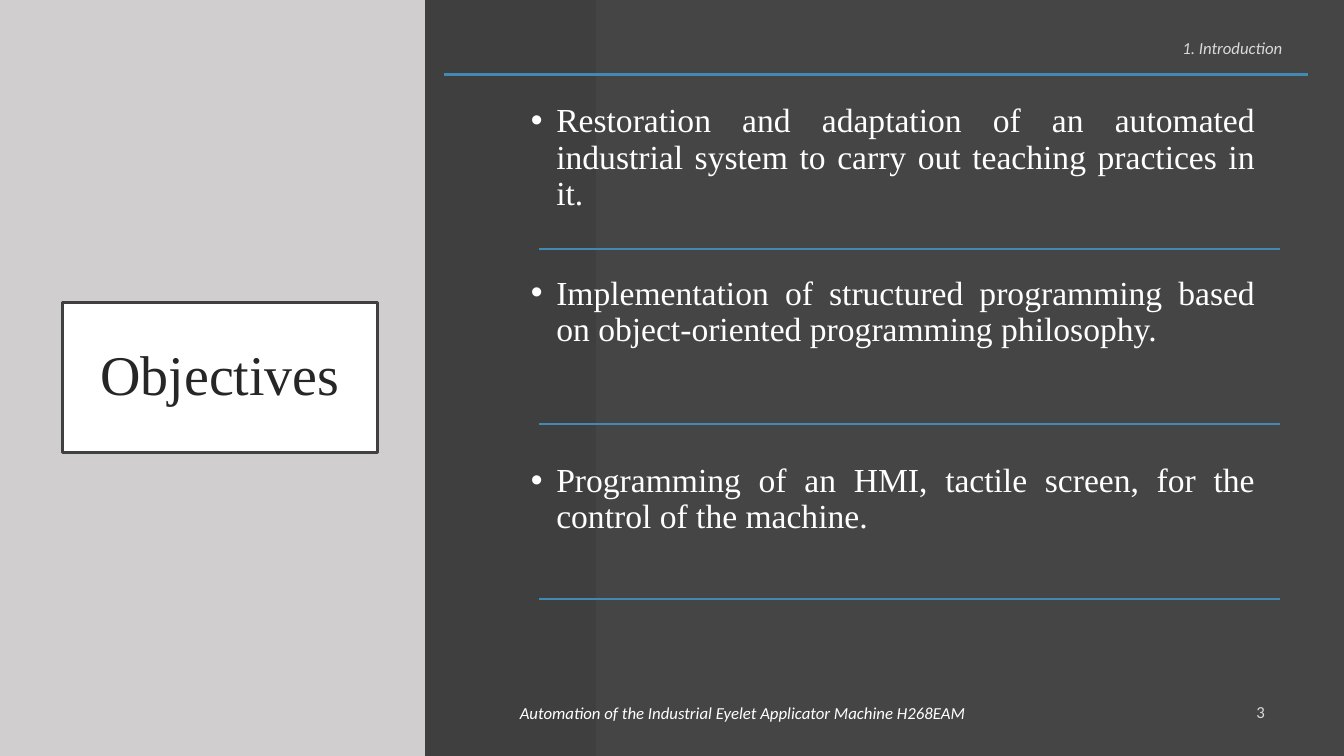
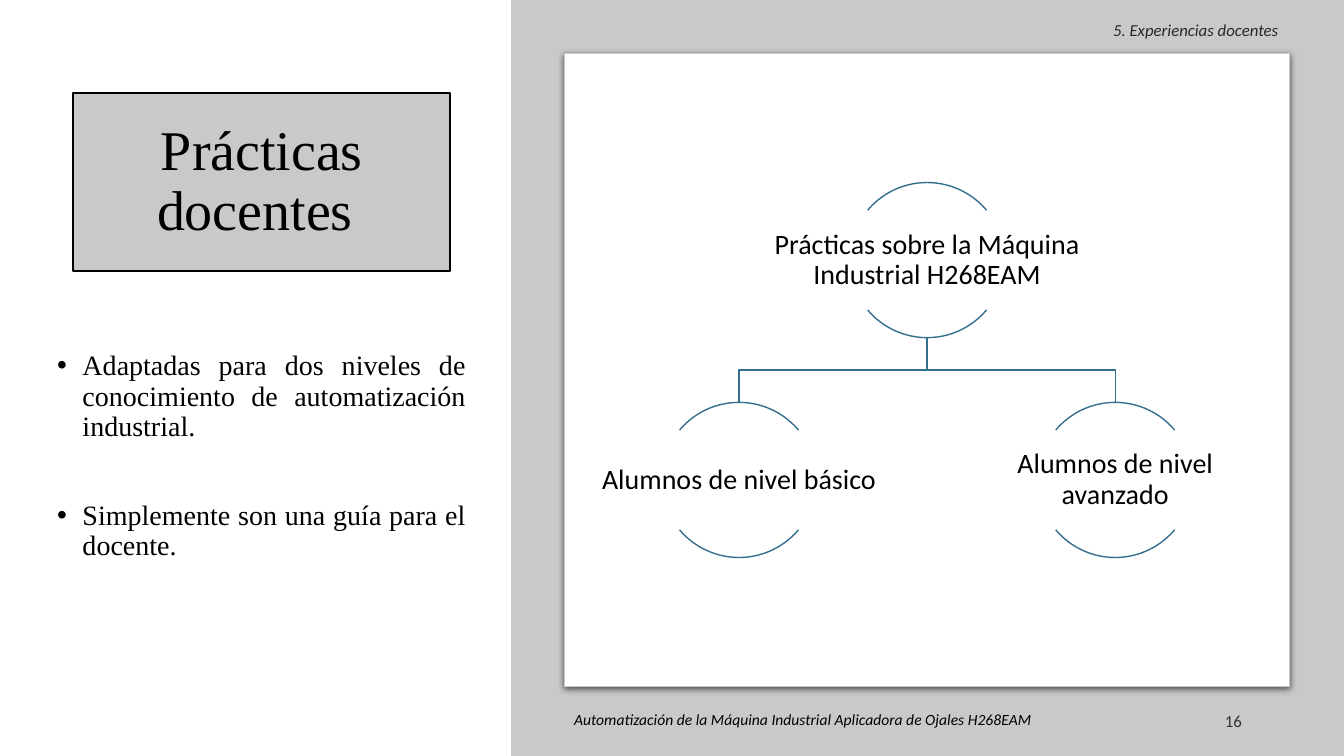
from collections import namedtuple
from dataclasses import dataclass

from lxml import etree
from pptx import Presentation
from pptx.dml.color import RGBColor
from pptx.enum import shapes, text
from pptx.oxml import ns
from pptx.util import Cm, Pt

Box = namedtuple("Box", "x y w h")
LEFT, MID, RIGHT, JUST = (text.PP_ALIGN.LEFT, text.PP_ALIGN.CENTER,
                          text.PP_ALIGN.RIGHT, text.PP_ALIGN.JUSTIFY)
RECT, ARC = shapes.MSO_SHAPE.RECTANGLE, shapes.MSO_SHAPE.ARC


@dataclass(frozen=True)
class Theme:
    serif: str = "Times New Roman"
    sans: str = "Calibri"
    title: float = 40
    large: float = 24
    body: float = 20
    small: float = 12
    tiny: float = 11.1
    white: str = "FFFFFF"
    black: str = "000000"
    dark: str = "454545"
    band: str = "3F3F3F"
    edge: str = "404040"
    ink: str = "262626"
    pale: str = "D0CECE"
    grey: str = "C8CACA"
    dim: str = "DADADA"
    soft: str = "282828"
    count: str = "303030"
    blue: str = "418AB3"
    navy: str = "346F8F"


T = Theme()
PAGE = Box(0, 0, 33.87, 19.05)


def rgb(code):
    return RGBColor.from_string(code)


def cm(box):
    return [Cm(v) for v in box]


def paint(shape, fill=None, line=None, width=1):
    shape.shadow.inherit = False
    if fill:
        shape.fill.solid()
        shape.fill.fore_color.rgb = rgb(fill)
    else:
        shape.fill.background()
    if line:
        shape.line.color.rgb = rgb(line)
        shape.line.width = Pt(width)
    else:
        shape.line.fill.background()
    return shape


def rect(slide, box, fill, line=None, width=1):
    return paint(slide.shapes.add_shape(RECT, *cm(box)), fill, line, width)


def rule(slide, x, y, end, width):
    line = slide.shapes.add_connector(shapes.MSO_CONNECTOR.STRAIGHT,
                                      *cm((x, y, end, y)))
    line.line.color.rgb = rgb(T.blue)
    line.line.width = Pt(width)
    etree.SubElement(line.element.spPr, ns.qn("a:effectLst"))


def bullet(para):
    props = para._p.get_or_add_pPr()
    props.set("marL", str(Cm(0.64)))
    props.set("indent", str(-Cm(0.64)))
    etree.SubElement(props, ns.qn("a:buFont")).set("typeface", "Arial")
    etree.SubElement(props, ns.qn("a:buChar")).set("char", "•")


def write(shape, *lines, size=T.small, font=T.sans, color=T.black, italic=False,
          align=LEFT, anchor=text.MSO_ANCHOR.MIDDLE, lead=1.0, gaps=(),
          bullets=False, inset=None):
    """Fill a shape with paragraphs; gaps are the points before the 2nd, 3rd..."""
    frame = shape.text_frame
    frame.word_wrap = True
    frame.auto_size = text.MSO_AUTO_SIZE.NONE
    frame.vertical_anchor = anchor
    if inset is not None:
        frame.margin_left = frame.margin_right = Cm(inset)
        frame.margin_top = frame.margin_bottom = Cm(inset)
    for i, line in enumerate(lines):
        para = frame.add_paragraph() if i else frame.paragraphs[0]
        para.alignment = align
        para.line_spacing = lead
        para.space_before = Pt(gaps[i - 1] if i else 0)
        if bullets:
            bullet(para)
        run = para.add_run()
        run.text = line
        run.font.size = Pt(size)
        run.font.name = font
        run.font.italic = italic
        run.font.color.rgb = rgb(color)


def label(host, box, *lines, **form):
    write(host.shapes.add_textbox(*cm(box)), *lines, **form)


def points(slide, box, *lines, **form):
    label(slide, box, *lines, font=T.serif, align=JUST, lead=0.9, bullets=True,
          anchor=text.MSO_ANCHOR.TOP, **form)


def start(deck, back):
    slide = deck.slides.add_slide(deck.slide_layouts[5])
    slide.background.fill.solid()
    slide.background.fill.fore_color.rgb = rgb(back)
    return slide


def head(slide, box, name, fill, line, width, color):
    """Place the framed title above the shapes drawn so far."""
    title = slide.shapes.title
    title.left, title.top, title.width, title.height = cm(box)
    title.element.getparent().append(title.element)
    paint(title, fill, line, width)
    write(title, name, size=T.title, font=T.serif, color=color, align=MID,
          lead=0.9)


def shade(shape):
    """Give a shape a soft shadow below it."""
    old = shape.element.spPr.find(ns.qn("a:effectLst"))
    cast = etree.SubElement(old, ns.qn("a:outerShdw"), blurRad=str(Pt(4.5)),
                            dist=str(Pt(1.5)), dir="5400000", algn="t",
                            rotWithShape="0")
    tint = etree.SubElement(cast, ns.qn("a:srgbClr"), val=T.black)
    etree.SubElement(tint, ns.qn("a:alpha"), val="63000")


def node(group, x, y, size, name):
    """Draw a name between two arcs of a circle centred on x with its top at y."""
    for first, last in ((220, 320), (40, 140)):
        arc = group.shapes.add_shape(ARC, *cm((x - size / 2, y, size, size)))
        arc.adjustments[0], arc.adjustments[1] = first * 0.6, last * 0.6
        paint(arc, line=T.navy)
    high = 2.51
    label(group, Box(x - size, y + (size - high) / 2, 2 * size, high), name,
          size=T.body, align=MID, lead=0.9, inset=0.03)


def tree(slide, box, root, leaves):
    """Draw a root over two leaves, centred in the box."""
    size, drop, side = 3.91, 5.54, 4.74
    mid = box.x + box.w / 2
    top = box.y + (box.h - drop - size) / 2
    low, half = top + drop, top + (drop + size) / 2
    group = slide.shapes.add_group_shape()
    spots = (mid - side, mid + side)
    for x in spots:
        pen = group.shapes.build_freeform(Cm(mid), Cm(top + size))
        pen.add_line_segments([(Cm(mid), Cm(half)), (Cm(x), Cm(half)),
                               (Cm(x), Cm(low))], close=False)
        paint(pen.convert_to_shape(), line=T.navy)
    node(group, mid, top, size, root)
    for x, name in zip(spots, leaves):
        node(group, x, low, size, name)


def goals(deck):
    slide = start(deck, T.dark)
    rect(slide, Box(0, 0, 14.76, PAGE.h), T.pale)
    rect(slide, Box(10.74, 0, 4.27, PAGE.h), T.band, T.band)
    head(slide, Box(1.57, 7.62, 7.95, 3.78), "Objectives",
         T.white, T.edge, 2, T.ink)
    label(slide, Box(24.87, 0.81, 7.7, 0.79), "1. Introduction",
          color=T.dim, italic=True, align=RIGHT)
    rule(slide, 11.2, 1.88, 32.97, 2.25)
    points(slide, Box(13.13, 2.49, 18.75, 14.1),
           "Restoration and adaptation of an automated industrial system to "
           "carry out teaching practices in it.",
           "Implementation of structured programming based on "
           "object-oriented programming philosophy.",
           "Programming of an HMI, tactile screen, for the control of the "
           "machine.",
           size=T.large, color=T.white, gaps=(45.5, 82))
    for i in range(3):
        rule(slide, 13.59, 6.27 + 4.41 * i, 32.26, 1.5)
    label(slide, Box(12.85, 17.48, 13.21, 0.94),
          "Automation of the Industrial Eyelet Applicator Machine H268EAM",
          color=T.white, italic=True)
    label(slide, Box(29.97, 17.42, 2.16, 1.02), "3", color=T.dim, align=RIGHT)


def classes(deck):
    slide = start(deck, T.white)
    left = 12.88
    rect(slide, Box(left, 0, PAGE.w - left, PAGE.h), T.grey)
    card = Box(14.22, 1.35, 18.29, 15.95)
    shade(rect(slide, card, T.white, T.grey, 0.75))
    head(slide, Box(1.85, 2.34, 9.5, 4.5), "Prácticas docentes ",
         T.grey, T.black, 1.5, T.black)
    label(slide, Box(18.14, 0.36, 14.33, 0.79), "5. Experiencias docentes",
          color=T.soft, italic=True, align=RIGHT)
    tree(slide, card, "Prácticas sobre la Máquina Industrial H268EAM",
         ("Alumnos de nivel básico", "Alumnos de nivel avanzado"))
    points(slide, Box(1.19, 8.74, 10.8, 5.66),
           "Adaptadas para dos niveles de conocimiento de automatización "
           "industrial.",
           "Simplemente son una guía para el docente.",
           size=T.body, gaps=(42,))
    label(slide, Box(card.x, 17.65, 12.5, 1.02),
          "Automatización de la Máquina Industrial Aplicadora de Ojales "
          "H268EAM", size=T.tiny, italic=True, lead=0.9)
    label(slide, Box(23.93, 17.65, 7.62, 1.02), "16", color=T.count,
          align=RIGHT)


def main():
    deck = Presentation()
    deck.slide_width, deck.slide_height = Cm(PAGE.w), Cm(PAGE.h)
    goals(deck)
    classes(deck)
    deck.save("out.pptx")


if __name__ == "__main__":
    main()
